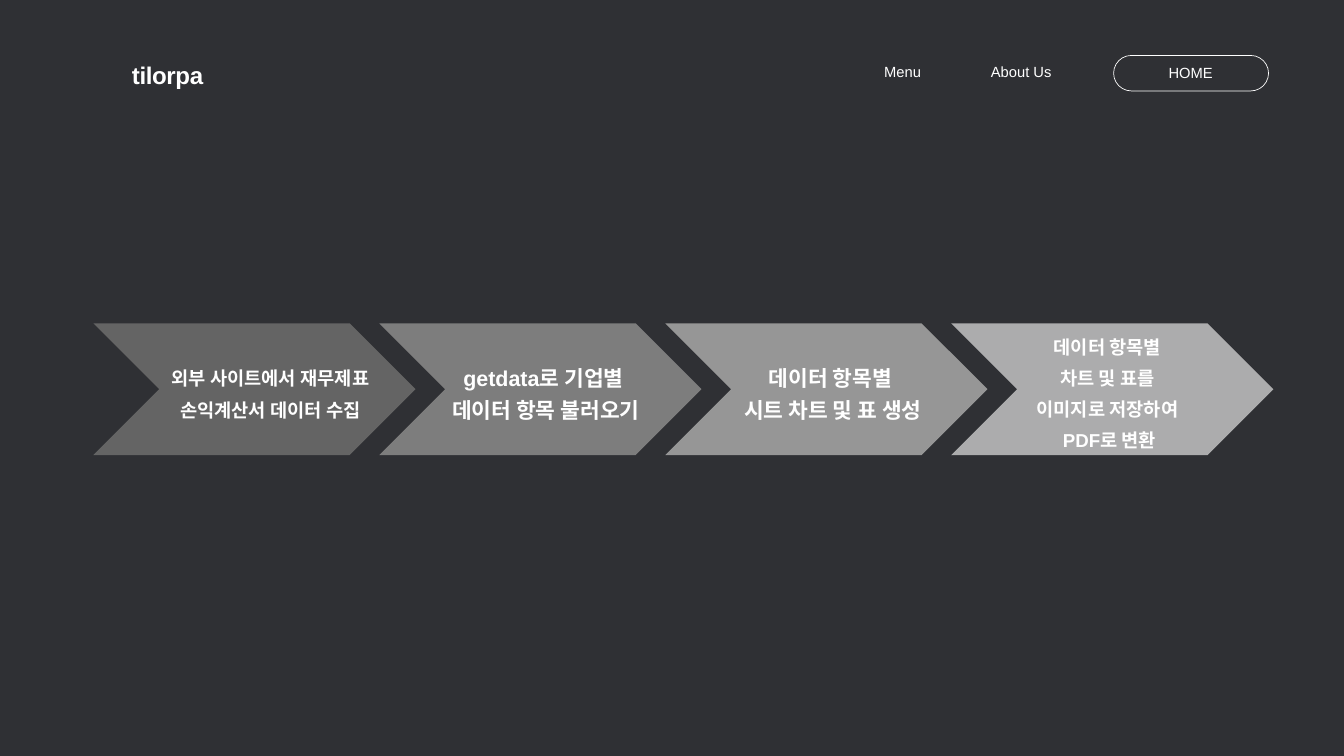
from dataclasses import dataclass

from lxml.etree import SubElement
from pptx import Presentation
from pptx.dml.color import RGBColor
from pptx.enum.shapes import MSO_SHAPE as Preset
from pptx.enum.text import MSO_ANCHOR as Anchor, PP_ALIGN as Align
from pptx.oxml.ns import qn
from pptx.shapes.autoshape import Shape
from pptx.slide import Slide
from pptx.util import Pt

BACKGROUND = RGBColor(0x14, 0x15, 0x19)
VEIL = RGBColor(0xD9, 0xD9, 0xD9)
WHITE = RGBColor(0xFF, 0xFF, 0xFF)
GREYS = (
    RGBColor(0x64, 0x64, 0x64),
    RGBColor(0x7D, 0x7D, 0x7D),
    RGBColor(0x96, 0x96, 0x96),
    RGBColor(0xAC, 0xAC, 0xAD),
)

SLIDE_WIDTH, SLIDE_HEIGHT = 1440, 810
CHEVRON_LEFT, CHEVRON_TOP, CHEVRON_STEP = 100, 346.4, 306.4
CHEVRON_WIDTH, CHEVRON_HEIGHT = 345.2, 141.2
STEP_INSET = 4.3


@dataclass(frozen=True)
class Box:
    left: float
    top: float
    width: float
    height: float

    def lengths(self) -> tuple[Pt, Pt, Pt, Pt]:
        return Pt(self.left), Pt(self.top), Pt(self.width), Pt(self.height)


@dataclass(frozen=True)
class Label:
    box: Box
    lines: tuple[str, ...]
    size: float
    line_spacing: float
    align: Align = Align.CENTER
    anchor: Anchor = Anchor.TOP
    inset: float = 0
    bold: bool = False
    tracking: float = 0


def step_label(box: Box, size: float, line_spacing: float, *lines: str) -> Label:
    return Label(box, lines, size, line_spacing, anchor=Anchor.MIDDLE,
                 inset=STEP_INSET, bold=True)


HEADER = (
    Label(Box(141.3, 73.4, 102, 28.8), ("tilorpa",), 25.8, 22.7,
          Align.LEFT, bold=True, tracking=-0.4),
    Label(Box(1157.8, 73.4, 236, 14.4), ("HOME",), 15.8, 13.9),
    Label(Box(1037.5, 72.7, 89.3, 14.4), ("About Us",), 15.8, 13.9, Align.RIGHT),
    Label(Box(923, 72.7, 64, 14.4), ("Menu",), 15.8, 13.9, Align.RIGHT),
)

STEPS = (
    step_label(Box(161.3, 326.9, 257, 180.7), 20, 34.5,
               "외부 사이트에서 재무제표 손익계산서 데이터 수집"),
    step_label(Box(456.5, 328.3, 257, 180.7), 23, 34.5,
               "getdata로 기업별 ", "데이터 항목 불러오기"),
    step_label(Box(764, 328.3, 257, 180.7), 23, 34.5,
               "데이터 항목별 ", "시트 차트 및 표 생성"),
    step_label(Box(1071.4, 350.6, 234.7, 133.2), 20, 33,
               "데이터 항목별 ", "차트 및 표를 ", "이미지로 저장하여 ", "PDF로 변환"),
)


def set_attributes(target: object, values: dict[str, object]) -> None:
    for name, value in values.items():
        setattr(target, name, value)


def add_filled(slide: Slide, preset: Preset, box: Box, color: RGBColor) -> Shape:
    shape = slide.shapes.add_shape(preset, *box.lengths())
    shape.shadow.inherit = False
    shape.fill.solid()
    shape.fill.fore_color.rgb = color
    shape.line.fill.background()
    return shape


def add_veil(slide: Slide, opacity: int) -> None:
    veil = add_filled(slide, Preset.RECTANGLE, Box(0, 0, SLIDE_WIDTH, SLIDE_HEIGHT), VEIL)
    color = veil.fill._xPr.find(qn("a:solidFill")).find(qn("a:srgbClr"))
    SubElement(color, qn("a:alpha"), val=str(opacity * 1000))


def add_button_outline(slide: Slide, box: Box) -> None:
    button = slide.shapes.add_shape(Preset.ROUNDED_RECTANGLE, *box.lengths())
    button.adjustments[0] = 0.5
    button.shadow.inherit = False
    button.fill.background()
    button.line.color.rgb = WHITE
    button.line.width = Pt(0.75)


def add_label(slide: Slide, label: Label) -> None:
    frame = slide.shapes.add_textbox(*label.box.lengths()).text_frame
    inset = Pt(label.inset)
    set_attributes(frame, {
        "word_wrap": True, "vertical_anchor": label.anchor,
        "margin_left": inset, "margin_right": inset,
        "margin_top": inset, "margin_bottom": inset,
    })
    for index, line in enumerate(label.lines):
        paragraph = frame.add_paragraph() if index else frame.paragraphs[0]
        set_attributes(paragraph, {
            "alignment": label.align, "line_spacing": Pt(label.line_spacing),
        })
        run = paragraph.add_run()
        run.text = line
        set_attributes(run.font, {
            "name": "Arial", "size": Pt(label.size), "bold": label.bold,
        })
        run.font.color.rgb = WHITE
        if label.tracking:
            run.font._rPr.set("spc", str(round(label.tracking * 100)))


def main() -> None:
    presentation = Presentation()
    presentation.slide_width = Pt(SLIDE_WIDTH)
    presentation.slide_height = Pt(SLIDE_HEIGHT)
    slide = presentation.slides.add_slide(presentation.slide_layouts[6])

    # Dark background with a light veil
    slide.background.fill.solid()
    slide.background.fill.fore_color.rgb = BACKGROUND
    add_veil(slide, opacity=14)

    # Header: name, menu and button
    add_button_outline(slide, Box(1193.2, 59.4, 166, 38))
    for label in HEADER:
        add_label(slide, label)

    # Process chevrons with their captions
    for index, (color, label) in enumerate(zip(GREYS, STEPS)):
        left = CHEVRON_LEFT + index * CHEVRON_STEP
        box = Box(left, CHEVRON_TOP, CHEVRON_WIDTH, CHEVRON_HEIGHT)
        add_filled(slide, Preset.CHEVRON, box, color)
        add_label(slide, label)

    presentation.save("out.pptx")


if __name__ == "__main__":
    main()
